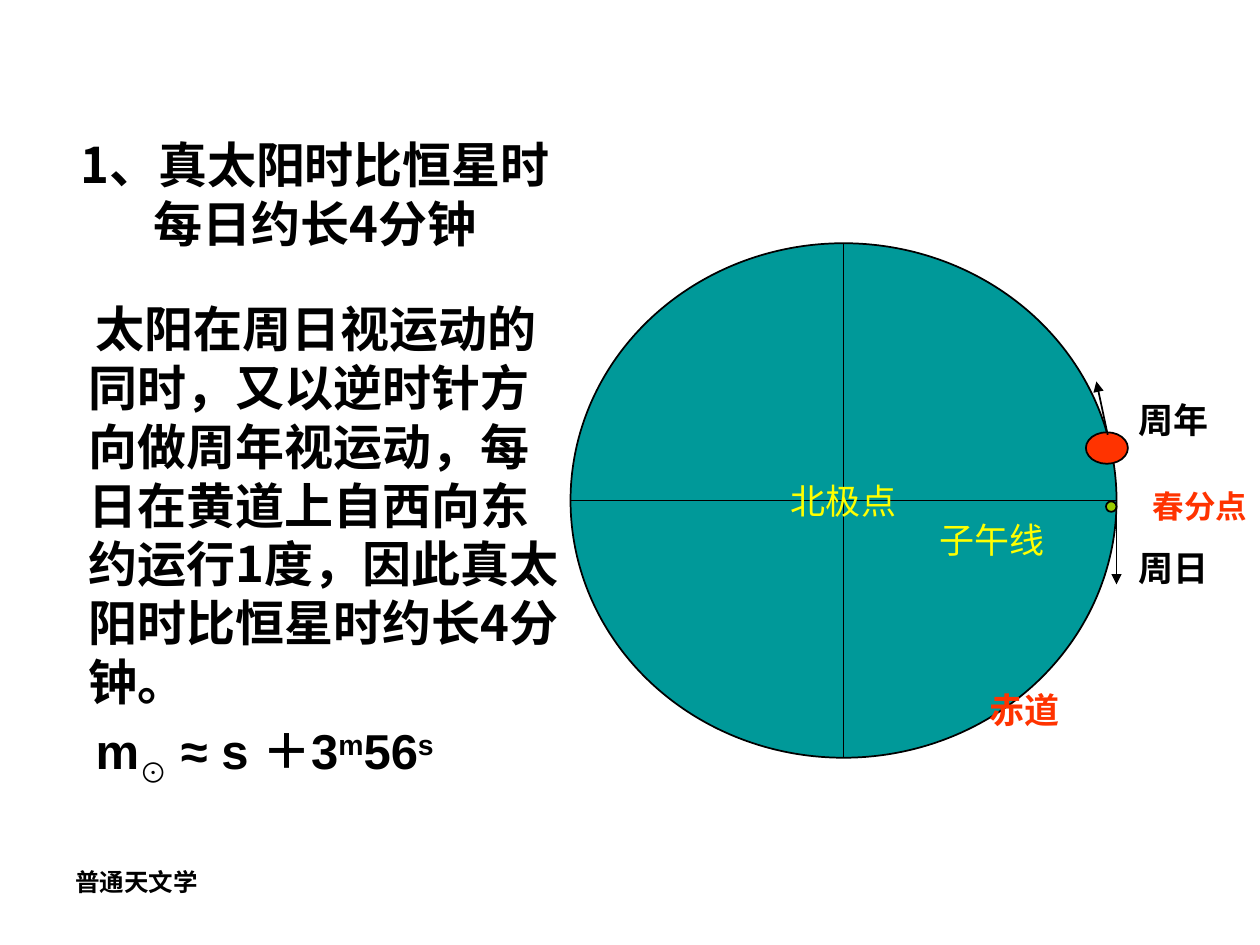
from pptx import Presentation
from pptx import util as u
from pptx.dml import color
from pptx.enum import shapes, text
from pptx.oxml import ns
from lxml import etree

Pt = u.Pt
CJK, SERIF, SANS = "Noto Sans CJK SC", "Times New Roman", "Arial"
BLACK, YELLOW, RED, TEAL, GREEN = "000000", "FFFF00", "FF3300", "009999", "99CC00"


def rgb(value):
    return color.RGBColor.from_string(value)


class Painter:
    """Holds the style and the current slide."""

    def __init__(self, slide, line_width=1):
        self.slide = slide
        self.line_width = Pt(line_width)

    def style(self, paragraph, size, font_name, fill=BLACK, bold=True):
        font = paragraph.font
        font.size, font.name, font.bold = Pt(size), font_name, bold
        font.color.rgb = rgb(fill)
        east_asian = etree.SubElement(font._element, ns.qn("a:ea"))
        east_asian.set("typeface", CJK)

    def placeholder(self, index, box, anchor):
        holder = self.slide.placeholders[index]
        holder.left, holder.top, holder.width, holder.height = map(Pt, box)
        frame = holder.text_frame
        frame.word_wrap = True
        frame.auto_size = text.MSO_AUTO_SIZE.NONE
        frame.vertical_anchor = anchor
        return frame

    def title(self, wording, box):
        heading = self.placeholder(0, box, text.MSO_ANCHOR.MIDDLE).paragraphs[0]
        heading.text = wording
        heading.alignment = text.PP_ALIGN.CENTER
        self.style(heading, 28, CJK)

    def body(self, items, box):
        """Each item is a font name and a list of (wording, baseline %)."""
        frame = self.placeholder(1, box, text.MSO_ANCHOR.TOP)
        for number, (font_name, parts) in enumerate(items):
            item = frame.add_paragraph() if number else frame.paragraphs[0]
            props = item._p.get_or_add_pPr()
            props.set("marL", str(Pt(27)))
            props.set("indent", str(Pt(4)))
            etree.SubElement(props, ns.qn("a:buNone"))
            item.space_before = Pt(6 if number else 0)
            self.style(item, 28, font_name)
            for wording, baseline in parts:
                run = item.add_run()
                run.text = wording
                if baseline:
                    run.font._element.set("baseline", str(baseline * 1000))

    def label(self, wording, box, size=20, font_name=SERIF, fill=BLACK, bold=True):
        frame = self.slide.shapes.add_textbox(*map(Pt, box)).text_frame
        frame.word_wrap = True
        frame.paragraphs[0].text = wording
        self.style(frame.paragraphs[0], size, font_name, fill, bold)

    def shape(self, preset, box, fill, wording=None):
        figure = self.slide.shapes.add_shape(preset, *map(Pt, box))
        figure.shadow.inherit = False
        figure.fill.solid()
        figure.fill.fore_color.rgb = rgb(fill)
        figure.line.color.rgb = rgb(BLACK)
        figure.line.width = self.line_width
        if wording:
            frame = figure.text_frame
            frame.word_wrap = False
            frame.vertical_anchor = text.MSO_ANCHOR.MIDDLE
            caption = frame.paragraphs[0]
            caption.text = wording
            caption.alignment = text.PP_ALIGN.CENTER
            self.style(caption, 20, SERIF, YELLOW, False)

    def arrow(self, start, end):
        line = self.slide.shapes.add_connector(
            shapes.MSO_CONNECTOR.STRAIGHT, *map(Pt, start + end))
        line.line.color.rgb = rgb(BLACK)
        line.line.width = self.line_width
        head = etree.SubElement(line.line._get_or_add_ln(), ns.qn("a:tailEnd"))
        head.set("type", "triangle")
        etree.SubElement(line._element.spPr, ns.qn("a:effectLst"))


def main():
    deck = Presentation()
    deck.slide_width, deck.slide_height = Pt(720), Pt(540)
    page = Painter(deck.slides.add_slide(deck.slide_layouts[1]))

    # Explanation on the left
    page.title("1、真太阳时比恒星时每日约长4分钟", (30, 39, 300, 143))
    page.body([
        (CJK, [("太阳在周日视运动的同时，又以逆时针方向做周年视运动，"
                "每日在黄道上自西向东约运行1度，因此真太阳时比恒星时约长4分钟。", 0)]),
        (SANS, [("m", 0), ("⊙", -25), (" ≈ s ＋3", 0), ("m", 30),
                ("56", 0), ("s", 30)]),
    ], (16.5, 167, 318.5, 324))
    page.label("普通天文学", (36, 492, 168, 37), 14, CJK)

    # Celestial sphere seen from the pole
    page.shape(shapes.MSO_SHAPE.FLOWCHART_OR, (326, 139, 312, 294), TEAL, "北极点")
    page.label("子午线", (530, 292.5, 76, 31), fill=YELLOW, bold=False)

    # Sun and vernal equinox on the rim
    page.shape(shapes.MSO_SHAPE.OVAL, (620.5, 247, 24, 18), RED)
    page.label("春分点", (651.5, 275, 70, 29), 18, fill=RED)
    page.shape(shapes.MSO_SHAPE.OVAL, (632, 286.5, 6, 6), GREEN)

    # Annual and daily motion
    page.arrow((633, 248.5), (626.5, 218))
    page.arrow((638, 292.5), (638, 334))
    page.label("周年", (643.5, 224, 66, 31))
    page.label("周日", (643.5, 309, 57, 31))
    page.label("赤道", (558.5, 390, 82, 31), fill=RED)

    deck.save("out.pptx")


if __name__ == "__main__":
    main()
